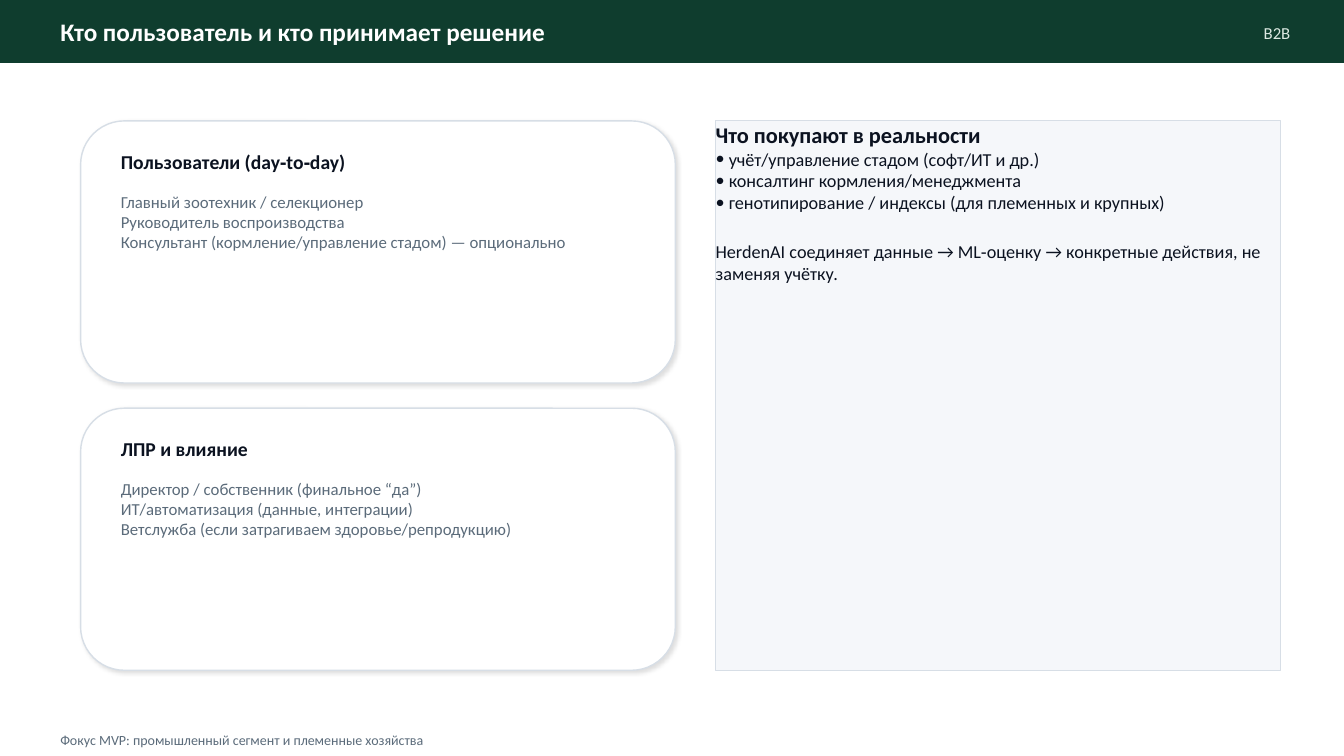
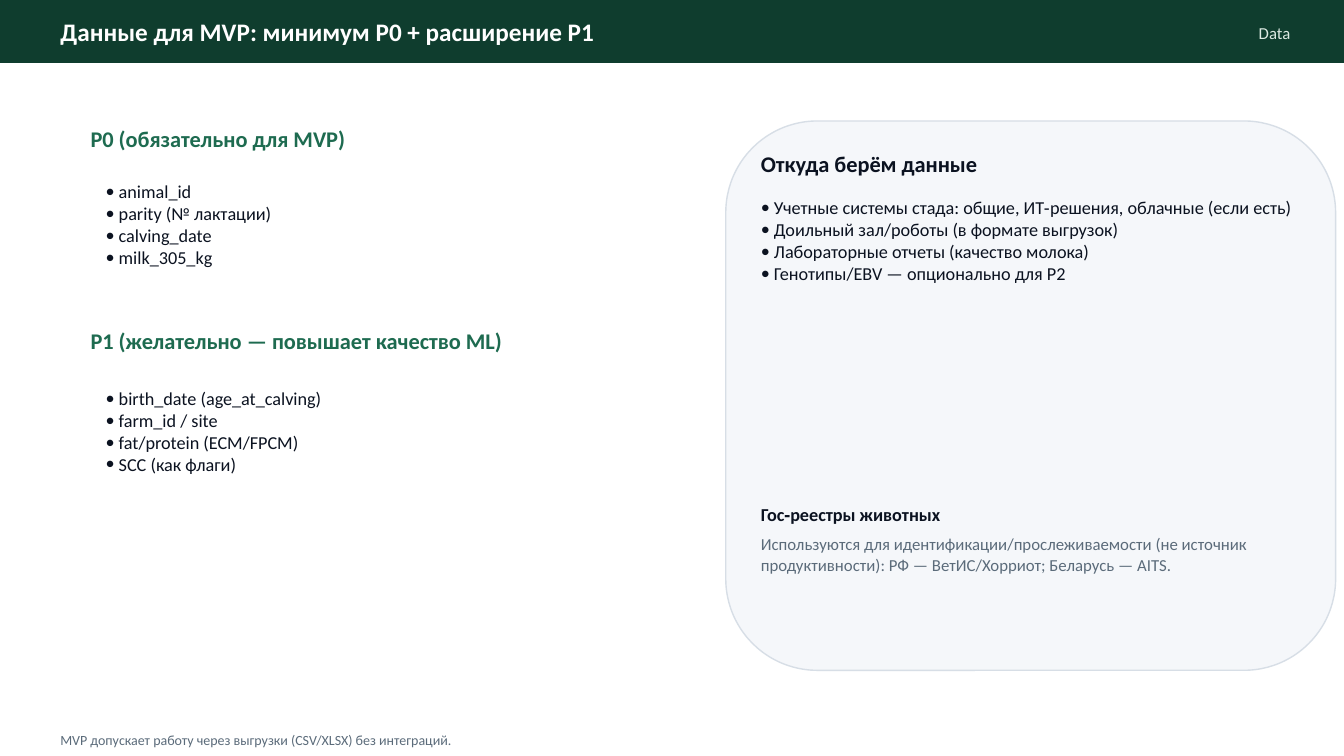
"""Build two slides on the users and the data of a herd analytics MVP."""
from dataclasses import dataclass

from lxml.etree import SubElement
from pptx import Presentation
from pptx.dml.color import RGBColor
from pptx.enum.shapes import MSO_SHAPE
from pptx.enum.text import MSO_ANCHOR, MSO_AUTO_SIZE, PP_ALIGN
from pptx.oxml.ns import qn
from pptx.presentation import Presentation as Deck
from pptx.shapes.autoshape import Shape
from pptx.slide import Slide
from pptx.text.text import TextFrame
from pptx.util import Inches, Pt

FONT = "Calibri"
WHITE = RGBColor(0xFF, 0xFF, 0xFF)
FOREST = RGBColor(0x0F, 0x3D, 0x2E)
GREEN = RGBColor(0x1E, 0x6B, 0x50)
MINT = RGBColor(0xDC, 0xE9, 0xE2)
INK = RGBColor(0x0B, 0x12, 0x20)
SLATE = RGBColor(0x5B, 0x6B, 0x7A)
MIST = RGBColor(0xF5, 0xF7, 0xFA)
BORDER = RGBColor(0xD7, 0xDE, 0xE6)

CELL = Inches(0.1)
COLUMNS, ROWS = 133.33, 75
TITLE_ONLY = 5
CONTENT_TOP = 12
CONTENT_HEIGHT = 54.5
BULLET_INDENT = Inches(0.13)


@dataclass(frozen=True)
class Area:
    """A rectangle in columns and rows of the slide grid."""

    column: float
    row: float
    columns: float
    rows: float

    def lengths(self) -> tuple[int, int, int, int]:
        """Return left, top, width and height as slide lengths."""
        left, top, width, height = (
            round(CELL * count)
            for count in (self.column, self.row, self.columns, self.rows)
        )
        return left, top, width, height


@dataclass(frozen=True)
class Section:
    """A heading with the lines below it."""

    heading: str
    body: str
    body_rows: float = 17


CARDS = (
    Section(
        "Пользователи (day‑to‑day)",
        "Главный зоотехник / селекционер\n"
        "Руководитель воспроизводства\n"
        "Консультант (кормление/управление стадом) — опционально",
    ),
    Section(
        "ЛПР и влияние",
        "Директор / собственник (финальное “да”)\n"
        "ИТ/автоматизация (данные, интеграции)\n"
        "Ветслужба (если затрагиваем здоровье/репродукцию)",
    ),
)
FIELD_GROUPS = (
    Section(
        "P0 (обязательно для MVP)",
        "animal_id\nparity (№ лактации)\ncalving_date\nmilk_305_kg",
        12.5,
    ),
    Section(
        "P1 (желательно — повышает качество ML)",
        "birth_date (age_at_calving)\nfarm_id / site\n"
        "fat/protein (ECM/FPCM)\nSCC (как флаги)",
        13.5,
    ),
)


def write(frame: TextFrame, text: str, *, size: float, color: RGBColor = INK,
          bold: bool = False, align: PP_ALIGN = PP_ALIGN.LEFT,
          bullet: bool = False, before: float = 0) -> None:
    """Append each line of the text to the frame as a formatted paragraph."""
    for line in text.split("\n"):
        para = frame.paragraphs[-1]
        if para.runs:
            para = frame.add_paragraph()
        if bullet:
            properties = para._p.get_or_add_pPr()
            properties.set("marL", str(BULLET_INDENT))
            properties.set("indent", str(-BULLET_INDENT))
            SubElement(properties, qn("a:buFont"), typeface=FONT)
            SubElement(properties, qn("a:buChar"), char="•")
        para.alignment = align
        if before:
            para.space_before = Pt(before)
        span = para.add_run()
        span.text = line
        span.font.name = FONT
        span.font.size = Pt(size)
        span.font.bold = bold
        span.font.color.rgb = color


def add_text(slide: Slide, area: Area, text: str, *,
             anchor: MSO_ANCHOR = MSO_ANCHOR.MIDDLE, **text_format) -> None:
    """Add a wrapped text box with the given text format."""
    frame = slide.shapes.add_textbox(*area.lengths()).text_frame
    frame.word_wrap = True
    frame.vertical_anchor = anchor
    write(frame, text, **text_format)


def add_panel(slide: Slide, area: Area, *, fill: RGBColor, line: RGBColor = BORDER,
              kind: MSO_SHAPE = MSO_SHAPE.RECTANGLE, line_width: float = 1) -> Shape:
    """Add a flat filled and outlined shape."""
    panel = slide.shapes.add_shape(kind, *area.lengths())
    panel.shadow.inherit = False
    panel.fill.solid()
    panel.fill.fore_color.rgb = fill
    panel.line.color.rgb = line
    panel.line.width = Pt(line_width)
    return panel


def add_soft_shadow(panel: Shape) -> None:
    """Give the shape a faint shadow to the lower right."""
    effects = panel._element.spPr.find(qn("a:effectLst"))
    shadow = SubElement(effects, qn("a:outerShdw"), blurRad=str(Pt(3)),
                        dist=str(Pt(1.5)), dir=str(45 * 60000),
                        algn="ctr", rotWithShape="0")
    color = SubElement(shadow, qn("a:srgbClr"), val="000000")
    SubElement(color, qn("a:alpha"), val="12000")


def add_page(deck: Deck, title: str, tag: str, footer: str) -> Slide:
    """Add a slide with its title band, tag and footer."""
    page = deck.slides.add_slide(deck.slide_layouts[TITLE_ONLY])
    add_panel(page, Area(0, 0, COLUMNS, 6.2), fill=FOREST, line=FOREST)
    box = page.shapes.title
    box.left, box.top, box.width, box.height = Area(5, 1.4, 96, 3.4).lengths()
    page.shapes._spTree.append(box._element)
    frame = box.text_frame
    frame.word_wrap = True
    frame.auto_size = MSO_AUTO_SIZE.NONE
    frame.vertical_anchor = MSO_ANCHOR.MIDDLE
    write(frame, title, size=18, color=WHITE, bold=True)
    add_text(page, Area(101, 1.8, 28, 3), tag, size=12, color=MINT,
             align=PP_ALIGN.RIGHT)
    add_text(page, Area(5, 72.2, COLUMNS - 10, 2.5), footer, size=10, color=SLATE)
    return page


def add_card(slide: Slide, area: Area, section: Section) -> None:
    """Add a rounded white card with a heading and body."""
    card = add_panel(slide, area, fill=WHITE, kind=MSO_SHAPE.ROUNDED_RECTANGLE)
    add_soft_shadow(card)
    left, width = area.column + 3, area.columns - 6
    add_text(slide, Area(left, area.row + 2.5, width, 3), section.heading,
             size=14, bold=True)
    add_text(slide, Area(left, area.row + 6.5, width, section.body_rows),
             section.body, size=12, color=SLATE, anchor=MSO_ANCHOR.TOP)


def build_users_page(deck: Deck) -> None:
    """Build the slide on users and decision makers."""
    page = add_page(deck, "Кто пользователь и кто принимает решение", "B2B",
                    "Фокус MVP: промышленный сегмент и племенные хозяйства")
    card_rows, gap = 26, 2.5
    for index, section in enumerate(CARDS):
        row = CONTENT_TOP + index * (card_rows + gap)
        add_card(page, Area(8, row, 59, card_rows), section)
    panel = add_panel(page, Area(71, CONTENT_TOP, 56, CONTENT_HEIGHT),
                      fill=MIST, line_width=0.75)
    frame = panel.text_frame
    frame.word_wrap = True
    frame.vertical_anchor = MSO_ANCHOR.TOP
    frame.margin_left = frame.margin_right = 0
    frame.margin_top = frame.margin_bottom = 0
    write(frame, "Что покупают в реальности", size=16, bold=True)
    write(frame, "учёт/управление стадом (софт/ИТ и др.)\n"
                 "консалтинг кормления/менеджмента\n"
                 "генотипирование / индексы (для племенных и крупных)",
          size=13, bullet=True)
    write(frame, "HerdenAI соединяет данные → ML‑оценку → конкретные действия, "
                 "не заменяя учётку.", size=13, before=19.5)


def build_data_page(deck: Deck) -> None:
    """Build the slide on required data and its origins."""
    page = add_page(deck, "Данные для MVP: минимум P0 + расширение P1", "Data",
                    "MVP допускает работу через выгрузки (CSV/XLSX) без интеграций.")
    for index, group in enumerate(FIELD_GROUPS):
        row = CONTENT_TOP + index * 20
        add_text(page, Area(8, row, 62, 3.5), group.heading, size=16,
                 color=GREEN, bold=True)
        add_text(page, Area(9.5, row + 4, 60, group.body_rows), group.body,
                 size=13, bullet=True)
    add_panel(page, Area(72, CONTENT_TOP, 60.5, CONTENT_HEIGHT), fill=MIST,
              kind=MSO_SHAPE.ROUNDED_RECTANGLE)
    left, width = 74.5, 56
    add_text(page, Area(left, 14.5, width, 3.5), "Откуда берём данные",
             size=16, bold=True)
    add_text(page, Area(left, 19, width, 30),
             "Учетные системы стада: общие, ИТ‑решения, облачные (если есть)\n"
             "Доильный зал/роботы (в формате выгрузок)\n"
             "Лабораторные отчеты (качество молока)\n"
             "Генотипы/EBV — опционально для P2",
             size=13, bullet=True, anchor=MSO_ANCHOR.TOP)
    add_text(page, Area(left, 49.5, width, 3), "Гос‑реестры животных",
             size=13, bold=True)
    add_text(page, Area(left, 52.5, width, 9),
             "Используются для идентификации/прослеживаемости (не источник "
             "продуктивности): РФ — ВетИС/Хорриот; Беларусь — AITS.",
             size=12, color=SLATE, anchor=MSO_ANCHOR.TOP)


def main() -> None:
    """Build and save the deck."""
    deck = Presentation()
    deck.slide_width = round(CELL * COLUMNS)
    deck.slide_height = CELL * ROWS
    build_users_page(deck)
    build_data_page(deck)
    deck.save("out.pptx")


if __name__ == "__main__":
    main()
